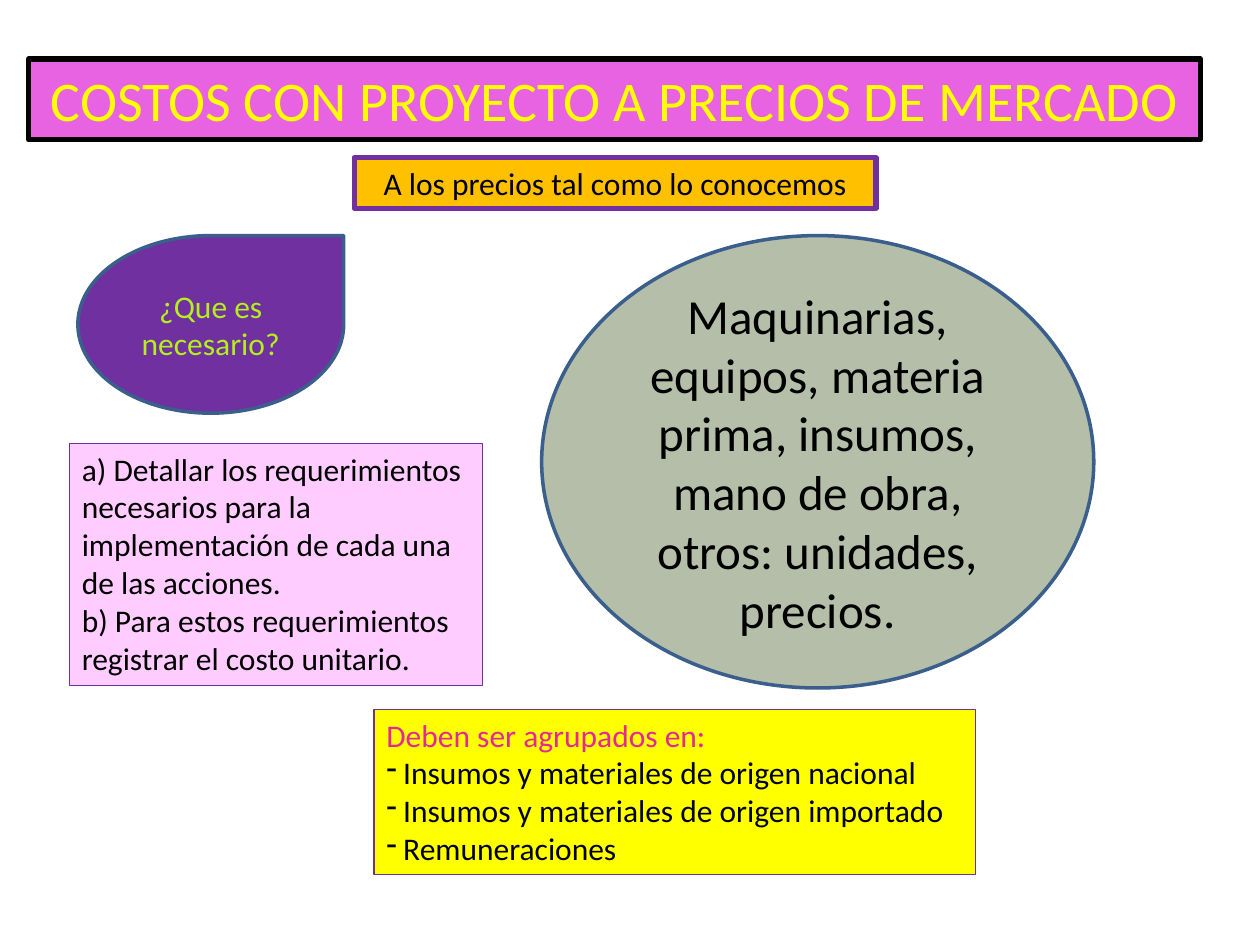
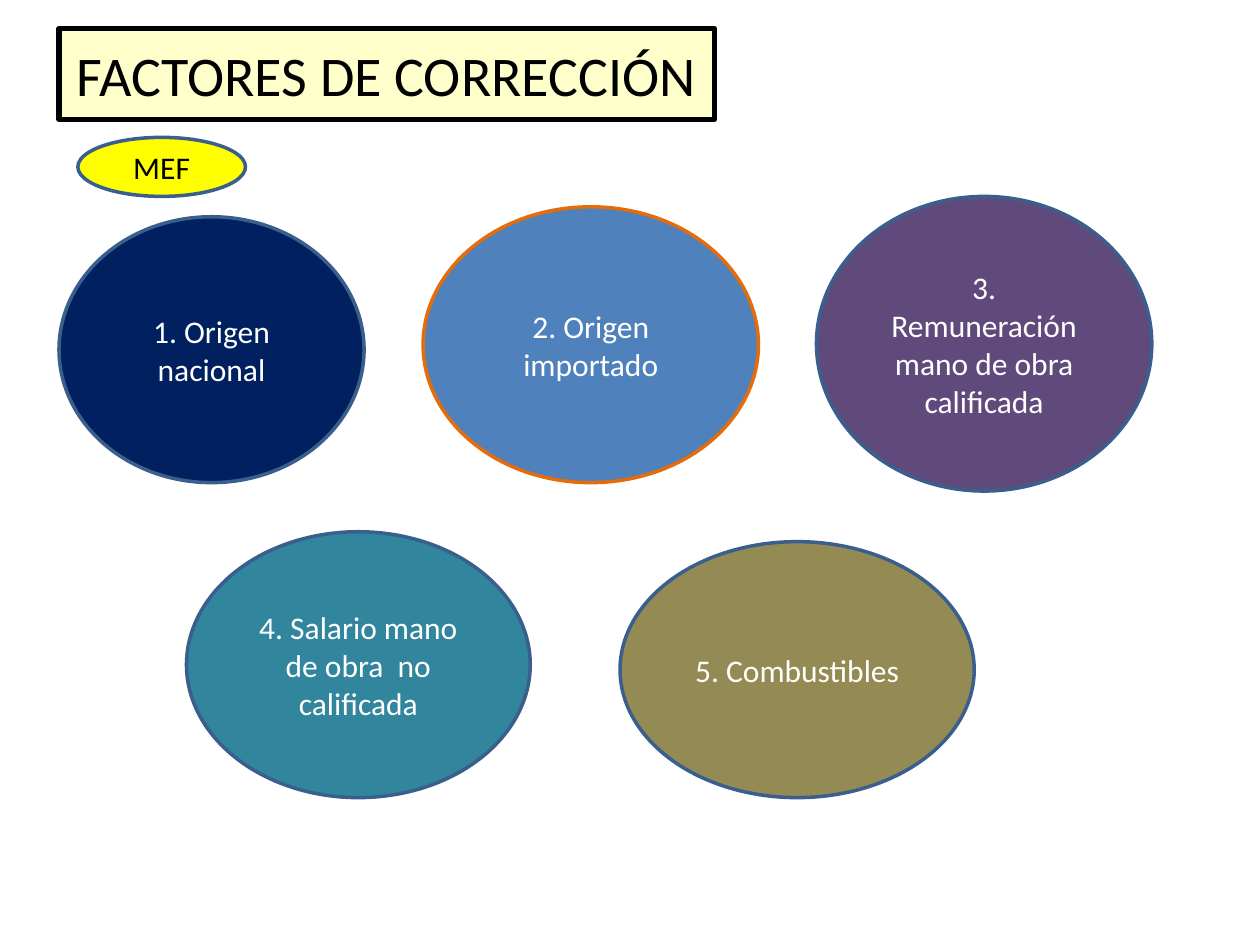
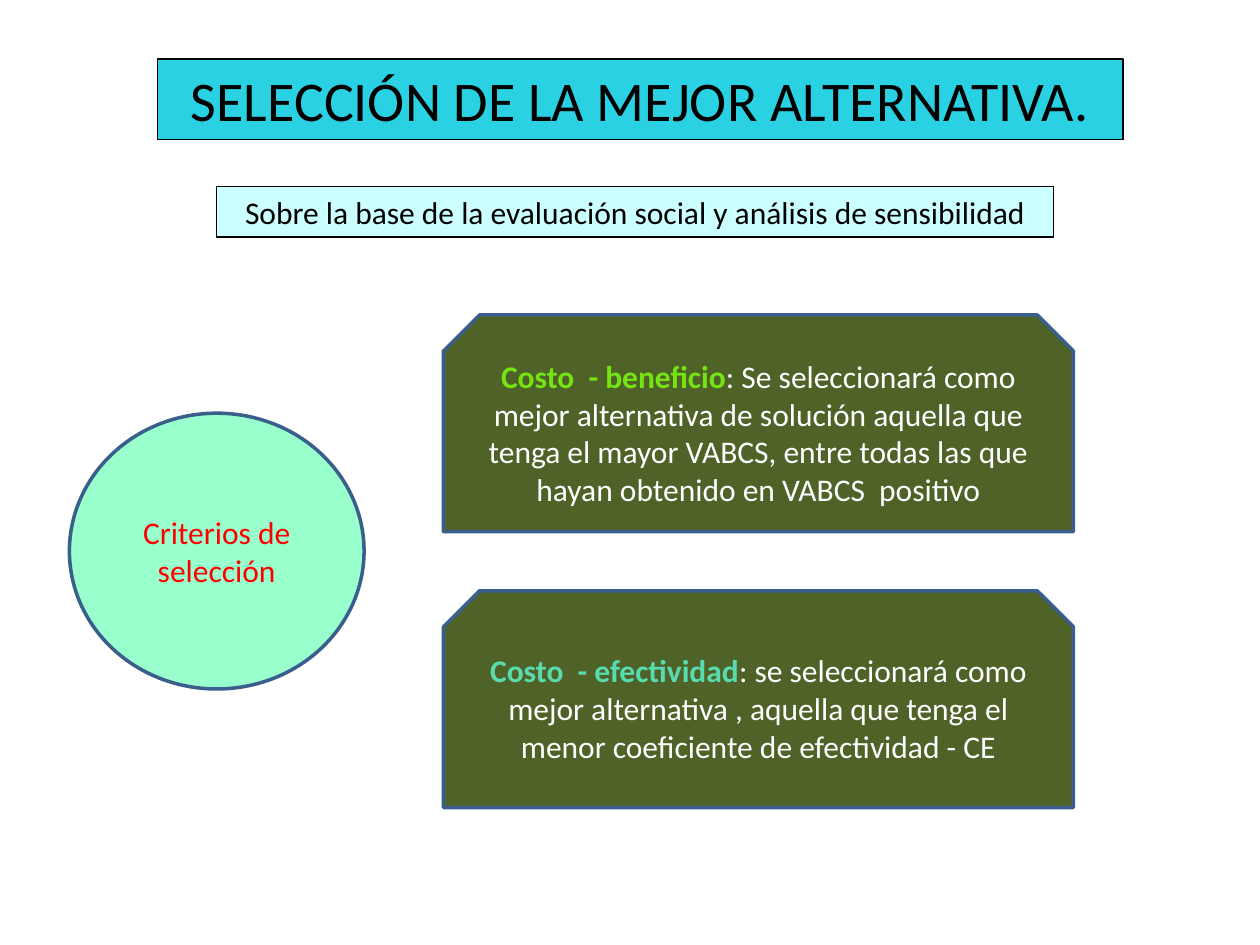
import pptx
import pptx.dml.color
import pptx.enum.shapes
import pptx.enum.text
import pptx.util
from lxml import etree
from pptx.util import Cm

FONT = "Calibri"
TITLE_SIZE = 32
BODY_SIZE = 18
COLORS = {
    "black": "000000", "white": "FFFFFF", "yellow": "FFFF00", "red": "FF0000",
    "outline": "3A5F8C", "purple": "7030A0", "magenta": "E763E1", "amber": "FFC000",
    "lime": "B3F01C", "pink": "FFCCFF", "sage": "B4BEA8", "rose": "E32998",
    "cream": "FFFFCC", "navy": "002060", "blue": "4F81BD", "orange": "E46C0A",
    "violet": "604A7B", "teal": "31859C", "khaki": "948A54", "cyan": "29D1E3",
    "ice": "CCFFFF", "mint": "99FFCC", "olive": "4F6228", "green": "76E412",
    "aqua": "57DBAF",
}
SHAPES = pptx.enum.shapes.MSO_SHAPE
ALIGN = pptx.enum.text.PP_ALIGN
ANCHOR = pptx.enum.text.MSO_ANCHOR
AUTO_SIZE = pptx.enum.text.MSO_AUTO_SIZE


def rgb(name):
    """Return the named palette colour."""
    return pptx.dml.color.RGBColor.from_string(COLORS[name])


def paint(shape, fill, line, width):
    """Give a shape its solid fill and outline."""
    shape.fill.solid()
    shape.fill.fore_color.rgb = rgb(fill)
    shape.line.color.rgb = rgb(line)
    shape.line.width = pptx.util.Pt(width)


def style_paragraph(paragraph, size, color, align):
    """Set the font and alignment that a whole paragraph shares."""
    paragraph.alignment = align
    paragraph.font.name = FONT
    paragraph.font.size = pptx.util.Pt(size)
    paragraph.font.color.rgb = rgb(color)


def write(frame, lines, size=BODY_SIZE, color="black", align=ALIGN.CENTER):
    """Fill a text frame with one paragraph per line."""
    frame.word_wrap = True
    frame.text = "\n".join(lines)
    for paragraph in frame.paragraphs:
        style_paragraph(paragraph, size, color, align)


def add_dash(paragraph):
    """Turn a paragraph into a dashed list item."""
    properties = paragraph._p.get_or_add_pPr()
    properties.set("marL", str(Cm(0.34)))
    properties.set("indent", str(-Cm(0.34)))
    bullet = etree.SubElement(properties, pptx.oxml.ns.qn("a:buChar"))
    bullet.set("char", "-")
    properties.insert_element_before(bullet, "a:tabLst", "a:defRPr", "a:extLst")


def add_titled_slide(deck, title, place, fill, color="black", width=3):
    """Add a slide whose title is a framed band."""
    slide = deck.slides.add_slide(deck.slide_layouts[5])
    band = slide.shapes.title
    band.left, band.top, band.width, band.height = map(Cm, place)
    paint(band, fill, "black", width)
    write(band.text_frame, [title], TITLE_SIZE, color)
    band.text_frame.auto_size = AUTO_SIZE.NONE
    band.text_frame.vertical_anchor = ANCHOR.MIDDLE
    return slide


def add_note(slide, lines, place, fill, line, width=0.75, align=ALIGN.LEFT):
    """Add a framed text box and return its paragraphs."""
    note = slide.shapes.add_textbox(*map(Cm, place))
    paint(note, fill, line, width)
    write(note.text_frame, lines, align=align)
    note.text_frame.auto_size = AUTO_SIZE.SHAPE_TO_FIT_TEXT
    return note.text_frame.paragraphs


def add_figure(slide, kind, text, place, fill, color="white", line="outline", size=BODY_SIZE):
    """Add a preset shape with centred text and return its paragraph."""
    figure = slide.shapes.add_shape(kind, *map(Cm, place))
    figure.shadow.inherit = False
    paint(figure, fill, line, 2)
    write(figure.text_frame, [text], size, color)
    figure.text_frame.vertical_anchor = ANCHOR.MIDDLE
    return figure.text_frame.paragraphs[0]


def add_criterion(slide, term, term_color, rule, top):
    """Add a snipped card with a bold coloured term before its rule."""
    place = (8.94, top, 12.7, 4.37)
    paragraph = add_figure(slide, SHAPES.SNIP_2_SAME_RECTANGLE, term, place, "olive")
    term_font = paragraph.runs[0].font
    term_font.bold = True
    term_font.color.rgb = rgb(term_color)
    rule_run = paragraph.add_run()
    rule_run.text = rule


def build_market_costs(deck):
    """Build the slide on project costs at market prices."""
    slide = add_titled_slide(deck, "COSTOS CON PROYECTO A PRECIOS DE MERCADO",
                             (0.58, 1.19, 23.62, 1.63), "magenta", "yellow")
    add_note(slide, ["A los precios tal como lo conocemos"],
             (7.14, 3.18, 10.52, 1.02), "amber", "purple", 3, ALIGN.CENTER)
    add_figure(slide, SHAPES.TEAR, "¿Que es necesario?",
               (1.57, 4.75, 5.36, 3.58), "purple", "lime")
    add_note(slide, [
        "a) Detallar los requerimientos necesarios para la implementación "
        "de cada una de las acciones.",
        "b) Para estos requerimientos registrar el costo unitario.",
    ], (1.4, 8.94, 8.33, 4.88), "pink", "purple")
    add_figure(slide, SHAPES.OVAL,
               "Maquinarias, equipos, materia prima, insumos, mano de obra, "
               "otros: unidades, precios.",
               (10.92, 4.75, 11.13, 9.12), "sage", "black", size=28)
    heading, *groups = add_note(slide, [
        "Deben ser agrupados en:",
        "Insumos y materiales de origen nacional",
        "Insumos y materiales de origen importado",
        "Remuneraciones",
    ], (7.54, 14.3, 12.12, 3.33), "yellow", "purple")
    heading.font.color.rgb = rgb("rose")
    for group in groups:
        add_dash(group)


def build_correction_factors(deck):
    """Build the slide on correction factors."""
    slide = add_titled_slide(deck, "FACTORES DE CORRECCIÓN",
                             (1.19, 0.58, 13.21, 1.83), "cream")
    factors = [
        ("MEF", (1.57, 2.77, 3.38, 1.19), "yellow", "black", "outline"),
        ("1. Origen nacional", (1.19, 4.37, 6.15, 5.36), "navy", "white", "outline"),
        ("2. Origen importado", (8.53, 4.17, 6.76, 5.56), "blue", "white", "orange"),
        ("3. Remuneración mano de obra calificada", (16.46, 3.96, 6.76, 5.94),
         "violet", "white", "outline"),
        ("4. Salario mano de obra  no calificada", (3.76, 10.72, 6.93, 5.36),
         "teal", "white", "outline"),
        ("5. Combustibles", (12.5, 10.92, 7.14, 5.16), "khaki", "white", "outline"),
    ]
    for factor in factors:
        add_figure(slide, SHAPES.OVAL, *factor)


def build_best_alternative(deck):
    """Build the slide on choosing the best alternative."""
    slide = add_titled_slide(deck, "SELECCIÓN DE LA MEJOR ALTERNATIVA.",
                             (3.18, 1.19, 19.46, 1.63), "cyan", width=0.75)
    add_note(slide, ["Sobre la base de la evaluación social y análisis de sensibilidad"],
             (4.37, 3.76, 16.87, 1.02), "ice", "black", align=ALIGN.CENTER)
    add_figure(slide, SHAPES.OVAL, "Criterios de selección",
               (1.4, 8.33, 5.94, 5.56), "mint", "red")
    criteria = [
        ("Costo  - beneficio", "green",
         ": Se seleccionará como mejor alternativa de solución aquella que tenga "
         "el mayor VABCS, entre todas las que hayan obtenido en VABCS  positivo"),
        ("Costo  - efectividad", "aqua",
         ": se seleccionará como mejor alternativa , aquella que tenga "
         "el menor coeficiente de efectividad - CE"),
    ]
    for row, criterion in enumerate(criteria):
        add_criterion(slide, *criterion, top=6.35 + row * 5.56)


def main():
    """Build the deck and save it."""
    deck = pptx.Presentation()
    deck.slide_width, deck.slide_height = Cm(25.4), Cm(19.05)
    build_market_costs(deck)
    build_correction_factors(deck)
    build_best_alternative(deck)
    deck.save("out.pptx")


if __name__ == "__main__":
    main()
